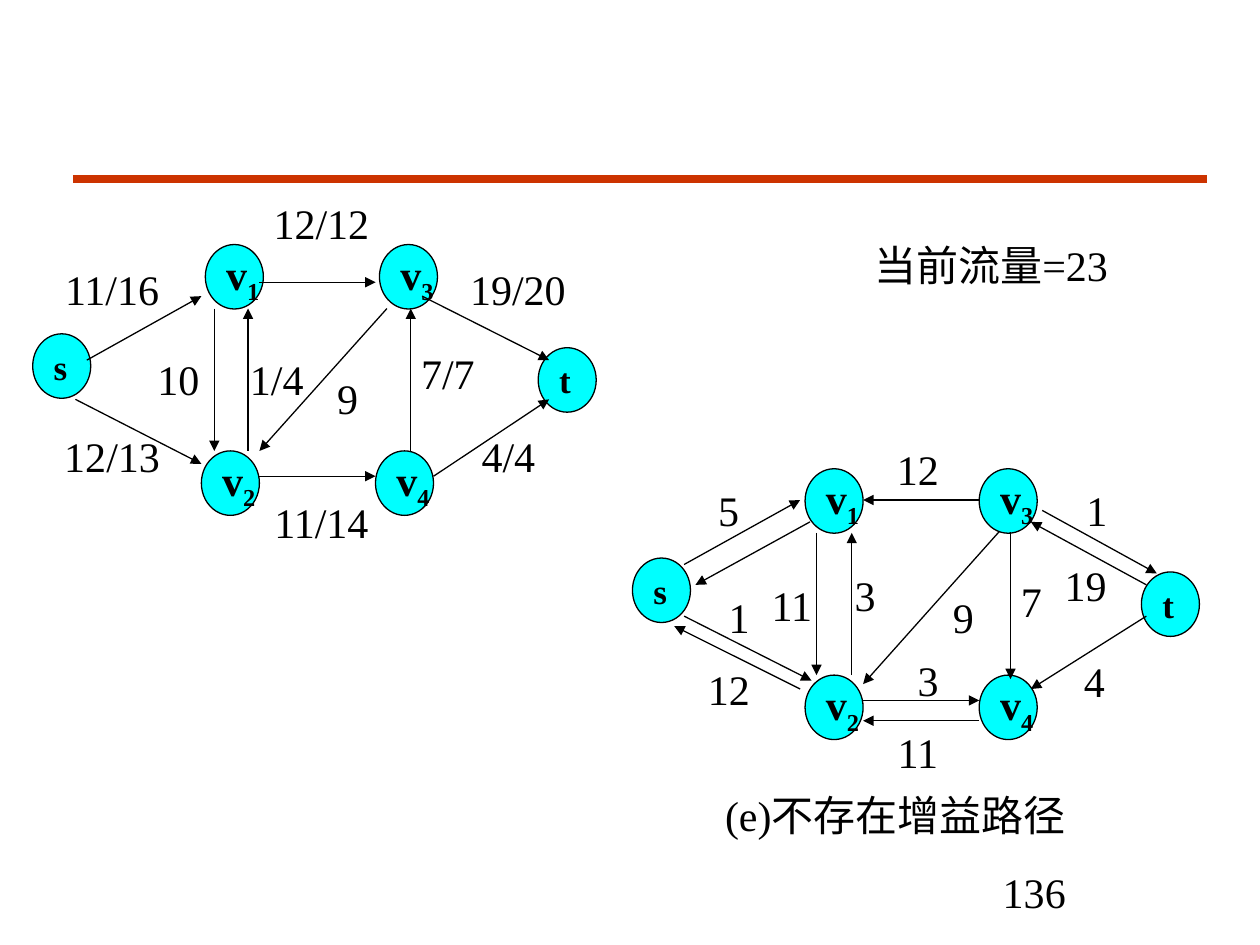
from pptx import Presentation
from pptx.dml.color import RGBColor
from pptx.enum.shapes import MSO_CONNECTOR, MSO_SHAPE
from pptx.enum.text import MSO_ANCHOR, PP_ALIGN
from pptx.oxml.ns import qn
from pptx.util import Cm, Pt
from lxml.etree import SubElement

BLACK = RGBColor(0, 0, 0)
CYAN = RGBColor(0, 255, 255)
RED = RGBColor(0xCC, 0x33, 0)
FONT = "Times New Roman"
NODE_W, NODE_H = 1.17, 1.3
LABEL_W = {1: 0.94, 2: 1.35, 3: 1.6, 5: 2.44}  # by number of characters
LABEL_H = 1.27

# Positions in cm: nodes and labels by left and top, edges by start and end.
FLOW_NODES = [
    ("s", 0.66, 6.73), ("v1", 4.14, 4.93), ("v2", 4.06, 9.09),
    ("v3", 7.65, 4.93), ("v4", 7.57, 9.09), ("t", 10.85, 7.01),
]
FLOW_EDGES = [
    (1.75, 7.26, 4.06, 5.97), (5.23, 5.69, 7.57, 5.69),
    (8.51, 5.97, 11.07, 7.26), (1.52, 8.05, 4.06, 9.35),
    (5.23, 9.6, 7.57, 9.6), (8.74, 9.6, 11.07, 8.05),
    (4.32, 6.22, 4.32, 9.09), (5, 9.09, 5, 6.22),
    (8.28, 9.09, 8.28, 6.22), (7.8, 6.22, 5.23, 9.09),
]
FLOW_LABELS = [
    ("11/16", 1.04, 5.18), ("12/13", 1.04, 8.56), ("12/12", 5.26, 3.86),
    ("11/14", 5.26, 9.88), ("10", 2.92, 7.01), ("1/4", 4.78, 7.01),
    ("9", 6.54, 7.39), ("7/7", 8.23, 6.88), ("19/20", 9.22, 5.18),
    ("4/4", 9.45, 8.56),
]
REST_NODES = [
    ("s", 12.75, 11.25), ("v1", 16.23, 9.45), ("v2", 16.23, 13.61),
    ("v3", 19.74, 9.45), ("v4", 19.74, 13.61), ("t", 23.01, 11.53),
]
REST_EDGES = [
    (13.79, 11.38, 16.13, 10.08), (16.33, 10.52, 14.02, 11.79),
    (13.79, 12.42, 16.36, 13.72), (16.13, 13.89, 13.59, 12.62),
    (16.46, 10.74, 16.46, 13.61), (17.17, 13.61, 17.17, 10.74),
    (19.74, 10.08, 17.4, 10.08), (20.14, 10.72, 17.4, 13.79),
    (17.4, 14.12, 19.74, 14.12), (19.74, 14.53, 17.4, 14.53),
    (20.37, 10.72, 20.37, 13.69), (21.01, 10.29, 23.32, 11.56),
    (23.11, 11.79, 20.78, 10.52), (23.11, 12.42, 20.78, 13.89),
]
REST_LABELS = [
    ("5", 14.22, 9.65), ("1", 14.43, 11.79), ("12", 14.02, 13.26),
    ("11", 15.29, 11.56), ("3", 16.97, 11.35), ("12", 17.83, 8.81),
    ("9", 18.95, 11.79), ("3", 18.24, 13.06), ("11", 17.83, 14.53),
    ("7", 20.32, 11.48), ("1", 21.64, 9.65), ("19", 21.21, 11.15),
    ("4", 21.59, 13.08),
]


def set_font(para, size, bold=False):
    font = para.font
    font.name = FONT
    font.size = Pt(size)
    font.bold = bold
    font.color.rgb = BLACK


def add_text(slide, text, left, top, width, height=LABEL_H, wrap=True):
    box = slide.shapes.add_textbox(Cm(left), Cm(top), Cm(width), Cm(height))
    frame = box.text_frame
    frame.word_wrap = wrap
    para = frame.paragraphs[0]
    para.text = text
    para.alignment = PP_ALIGN.CENTER
    set_font(para, 24)


def add_node(slide, name, left, top):
    """Draw a vertex; digits after its letter become a subscript."""
    node = slide.shapes.add_shape(
        MSO_SHAPE.OVAL, Cm(left), Cm(top), Cm(NODE_W), Cm(NODE_H))
    node.shadow.inherit = False
    node.fill.solid()
    node.fill.fore_color.rgb = CYAN
    node.line.color.rgb = BLACK
    node.line.width = Pt(0.75)
    frame = node.text_frame
    frame.word_wrap = False
    frame.vertical_anchor = MSO_ANCHOR.MIDDLE
    para = frame.paragraphs[0]
    para.alignment = PP_ALIGN.LEFT
    letter, index = name[0], name[1:]
    set_font(para, 24 if index else 20, bold=True)
    para.add_run().text = letter
    if index:
        run = para.add_run()
        run.text = index
        run.font._element.set("baseline", "-25000")


def add_line(slide, ends, color=BLACK, width=0.75, arrow=True):
    line = slide.shapes.add_connector(
        MSO_CONNECTOR.STRAIGHT, *[Cm(end) for end in ends])
    line.line.color.rgb = color
    line.line.width = Pt(width)
    if arrow:
        SubElement(line.line._get_or_add_ln(), qn("a:tailEnd"), type="triangle")
    SubElement(line._element.spPr, qn("a:effectLst"))


def add_graph(slide, nodes, edges, labels):
    for node in nodes:
        add_node(slide, *node)
    for edge in edges:
        add_line(slide, edge)
    for text, left, top in labels:
        add_text(slide, text, left, top, LABEL_W[len(text)], wrap=False)


def main():
    deck = Presentation()
    deck.slide_width, deck.slide_height = Cm(25.4), Cm(19.05)
    slide = deck.slides.add_slide(deck.slide_layouts[6])
    add_line(slide, (1.47, 3.61, 24.33, 3.61), RED, 4.5, arrow=False)
    add_text(slide, "136", 18.21, 17.35, 5.28)
    add_graph(slide, REST_NODES, REST_EDGES, REST_LABELS)
    add_text(slide, "(e)不存在增益路径", 14.33, 15.8, 7.44, 1.3)
    add_graph(slide, FLOW_NODES, FLOW_EDGES, FLOW_LABELS)
    add_text(slide, "当前流量=23", 17.07, 4.7, 5.82, 1.3)
    deck.save("out.pptx")


if __name__ == "__main__":
    main()
